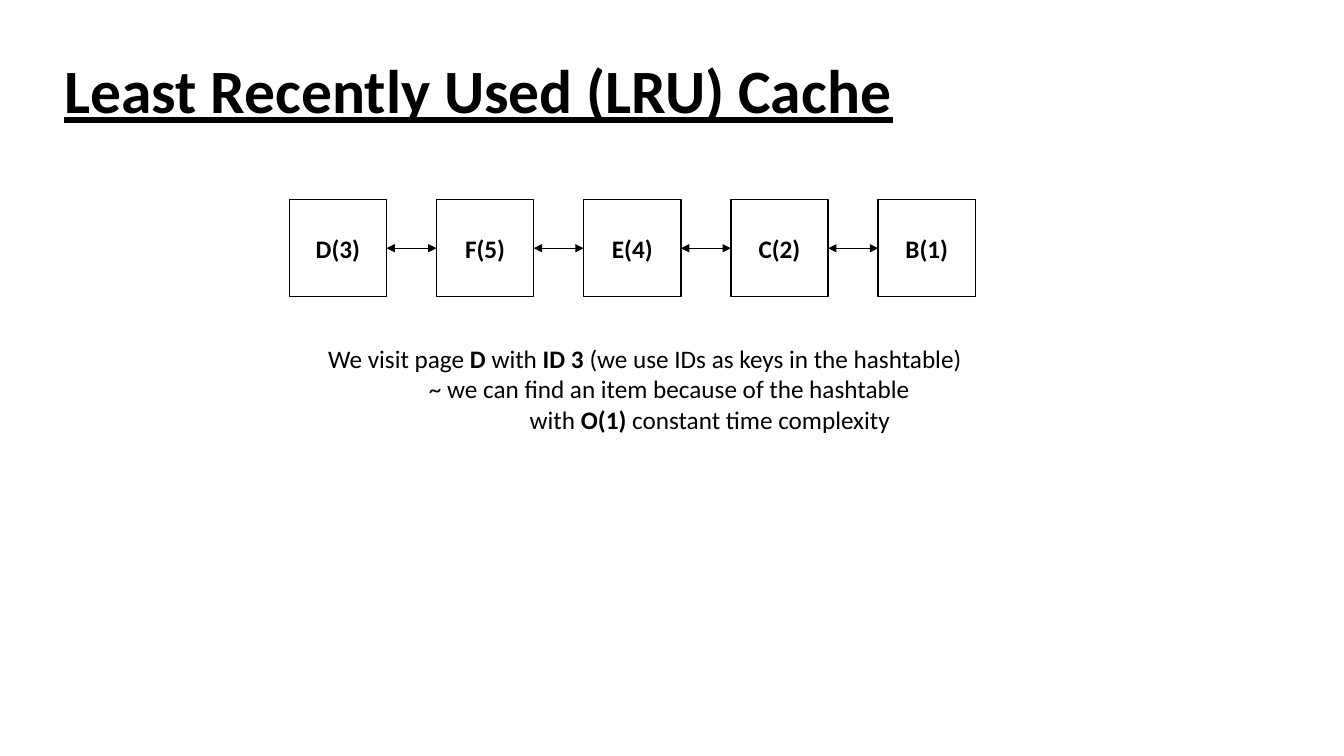
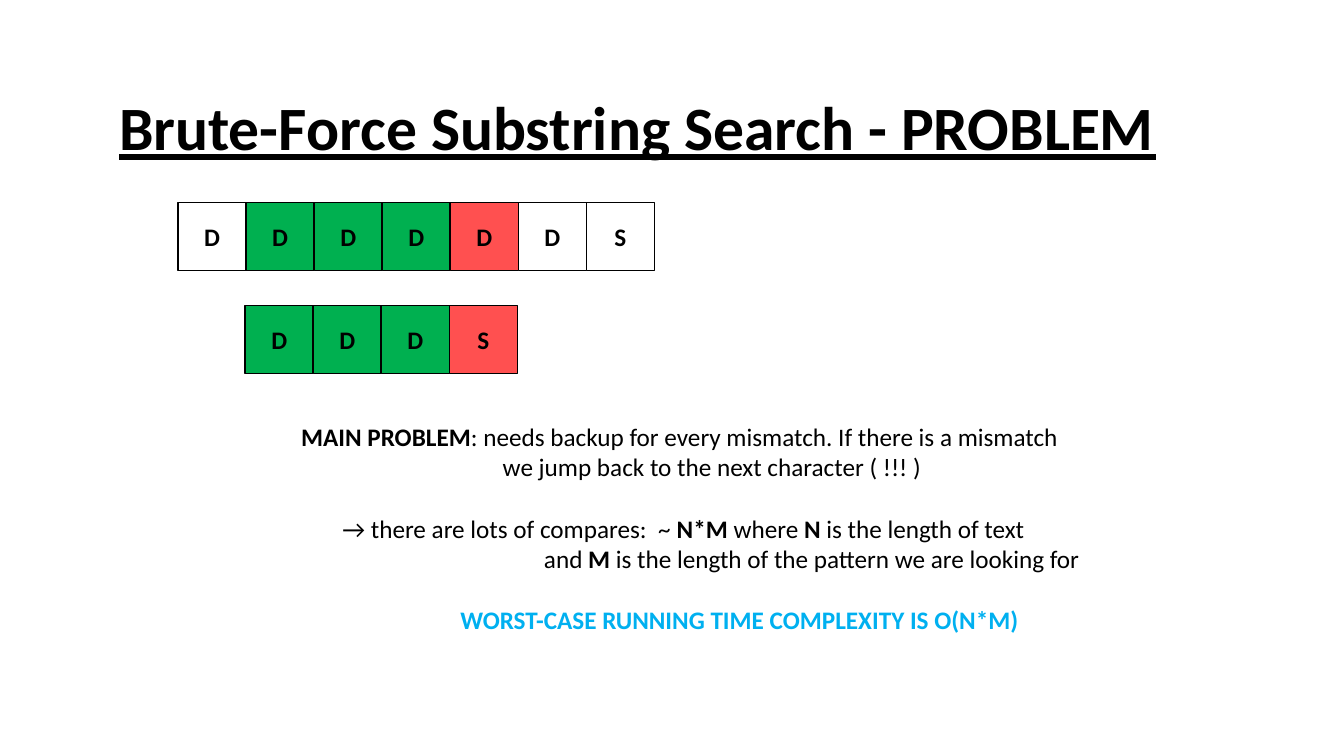
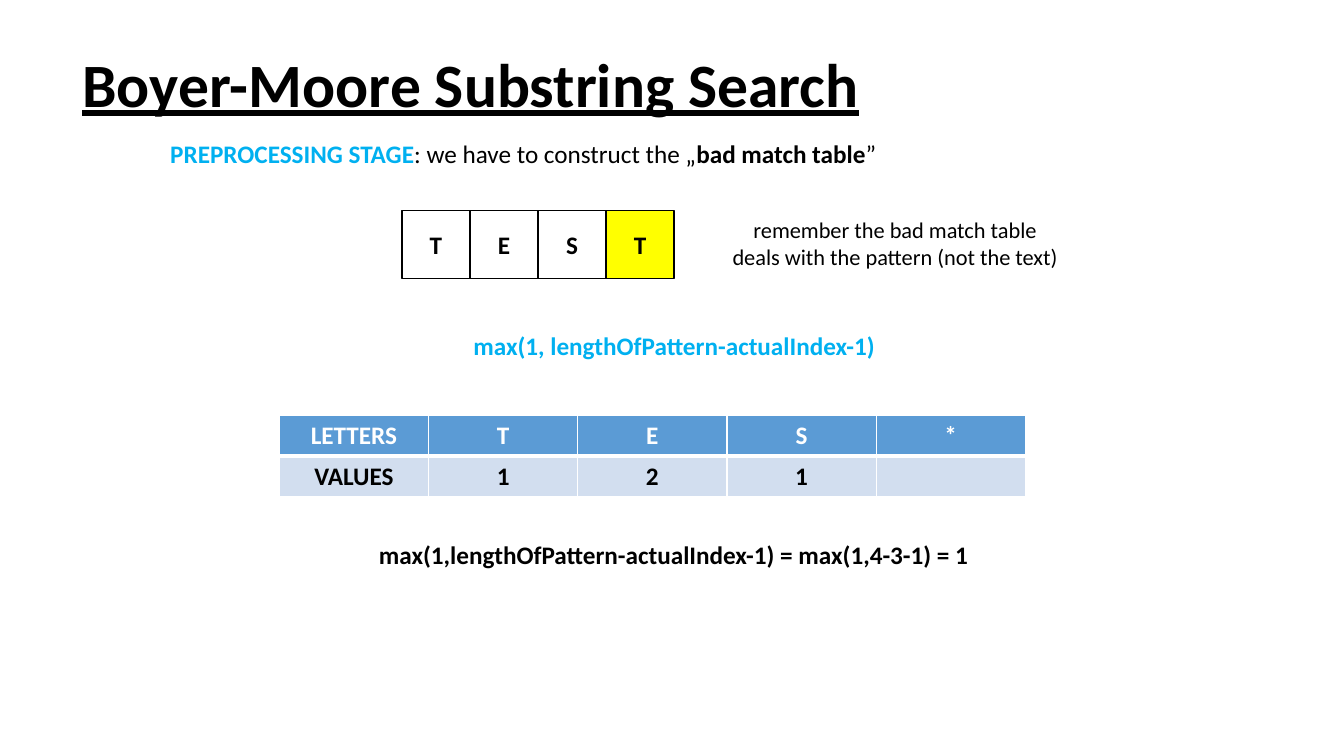
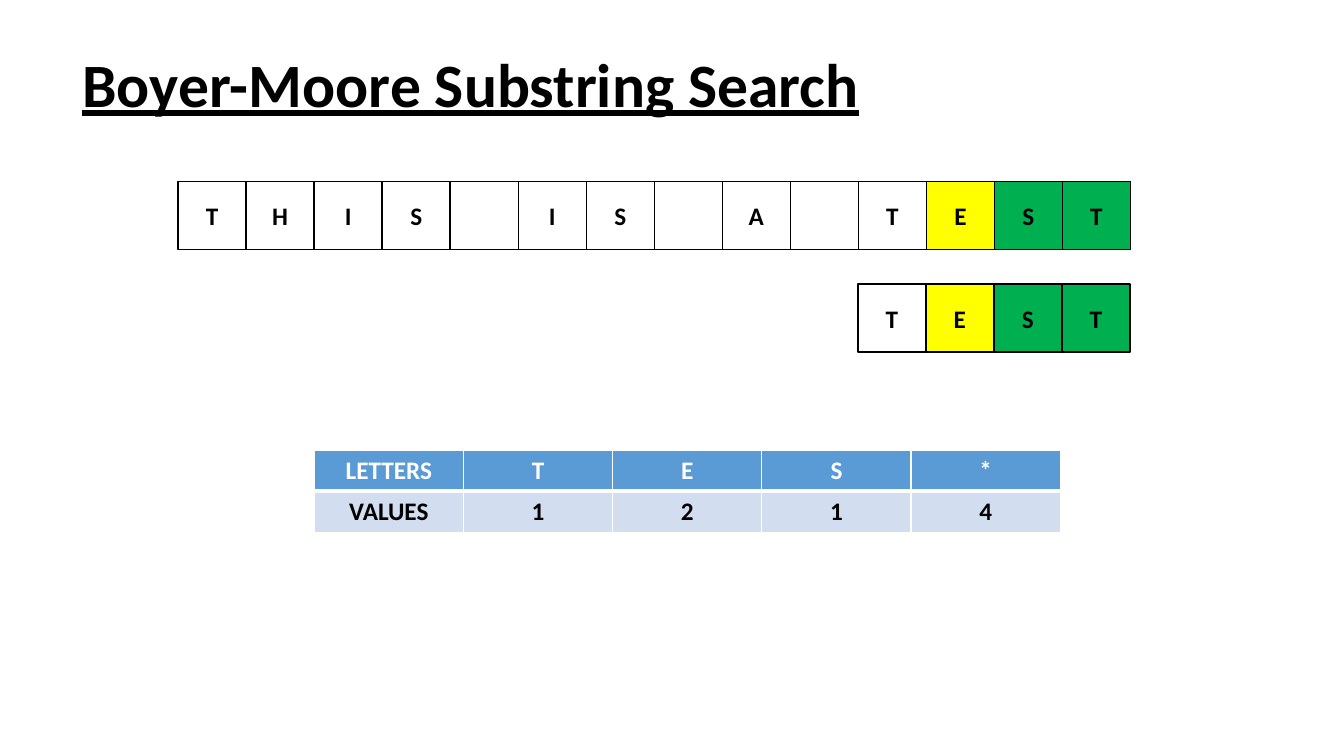
import collections

import lxml.etree
import pptx
import pptx.dml.color
import pptx.enum.shapes
import pptx.enum.text
import pptx.oxml.ns
import pptx.util
from pptx.util import Cm

BLACK = pptx.dml.color.RGBColor(0x00, 0x00, 0x00)
WHITE = pptx.dml.color.RGBColor(0xFF, 0xFF, 0xFF)
GREEN = pptx.dml.color.RGBColor(0x00, 0xB0, 0x50)
RED = pptx.dml.color.RGBColor(0xFF, 0x50, 0x50)
YELLOW = pptx.dml.color.RGBColor(0xFF, 0xFF, 0x00)
SKY = pptx.dml.color.RGBColor(0x00, 0xB0, 0xF0)
HEADER_BLUE = pptx.dml.color.RGBColor(0x5B, 0x9B, 0xD5)
PALE_BLUE = pptx.dml.color.RGBColor(0xD2, 0xDE, 0xEF)

FILLS = {"w": WHITE, "g": GREEN, "r": RED, "y": YELLOW}
FONT = "Calibri"
CELL = Cm(12) // 7
NODE = Cm(2.45)
NODE_PITCH = Cm(3.71)
TAB = Cm(2.54)
LEFT = pptx.enum.text.PP_ALIGN.LEFT
CENTER = pptx.enum.text.PP_ALIGN.CENTER
MIDDLE = pptx.enum.text.MSO_ANCHOR.MIDDLE

Run = collections.namedtuple("Run", "text bold color", defaults=(False, BLACK))
Line = collections.namedtuple("Line", "runs indent before", defaults=(0, 0))


def add_run(paragraph, text, size=18, bold=False, color=BLACK):
    run = paragraph.add_run()
    run.text = text
    run.font.name = FONT
    run.font.size = pptx.util.Pt(size)
    run.font.bold = bold
    run.font.color.rgb = color
    return run


def add_title(slide, text, left, top):
    shape = slide.shapes.add_textbox(left, top, Cm(29.21), Cm(3.68))
    frame = shape.text_frame
    frame.word_wrap = True
    frame.vertical_anchor = MIDDLE
    paragraph = frame.paragraphs[0]
    paragraph.line_spacing = 0.9
    add_run(paragraph, text, 44, True).font.underline = True


def add_text(slide, left, top, width, lines, size=18, alignment=LEFT):
    height = Cm(0.25) + Cm(0.78) * len(lines)
    frame = slide.shapes.add_textbox(left, top, width, height).text_frame
    frame.word_wrap = True
    for index, line in enumerate(lines):
        paragraph = frame.add_paragraph() if index else frame.paragraphs[0]
        paragraph.alignment = alignment
        paragraph.space_before = pptx.util.Pt(line.before)
        paragraph._p.get_or_add_pPr().set("marL", str(int(line.indent)))
        for run in line.runs:
            add_run(paragraph, run.text, size, run.bold, run.color)


def add_square(slide, text, left, top, side, fill):
    shape = slide.shapes.add_shape(
        pptx.enum.shapes.MSO_SHAPE.RECTANGLE, left, top, side, side)
    shape.shadow.inherit = False
    shape.fill.solid()
    shape.fill.fore_color.rgb = fill
    shape.line.color.rgb = BLACK
    shape.line.width = pptx.util.Pt(1)
    shape.text_frame.vertical_anchor = MIDDLE
    paragraph = shape.text_frame.paragraphs[0]
    paragraph.alignment = CENTER
    if text.strip():
        add_run(paragraph, text, bold=True)
    return shape


def add_letters(slide, letters, fills, left, top):
    for index, (letter, fill) in enumerate(zip(letters, fills)):
        add_square(slide, letter, left + index * CELL, top, CELL, FILLS[fill])


def add_double_arrow(slide, first, second):
    connector = slide.shapes.add_connector(
        pptx.enum.shapes.MSO_CONNECTOR.STRAIGHT, 0, 0, 0, 0)
    connector.begin_connect(first, 3)
    connector.end_connect(second, 1)
    connector.line.color.rgb = BLACK
    connector.line.width = pptx.util.Pt(0.5)
    line = connector.line._get_or_add_ln()
    for end in ("a:headEnd", "a:tailEnd"):
        lxml.etree.SubElement(line, pptx.oxml.ns.qn(end), type="triangle")
    lxml.etree.SubElement(
        connector._element.spPr, pptx.oxml.ns.qn("a:effectLst"))


def add_linked_list(slide, labels, left, top):
    nodes = [add_square(slide, label, left + index * NODE_PITCH, top, NODE, WHITE)
             for index, label in enumerate(labels)]
    for first, second in zip(nodes, nodes[1:]):
        add_double_arrow(slide, first, second)


def set_borders(cell, widths):
    properties = cell._tc.get_or_add_tcPr()
    for index, (side, width) in enumerate(widths.items()):
        border = lxml.etree.Element(
            pptx.oxml.ns.qn("a:ln" + side), w=str(int(pptx.util.Pt(width))))
        fill = lxml.etree.SubElement(border, pptx.oxml.ns.qn("a:solidFill"))
        lxml.etree.SubElement(
            fill, pptx.oxml.ns.qn("a:srgbClr"), val=str(WHITE))
        properties.insert(index, border)


def add_match_table(slide, values, left, top):
    rows = [(["LETTERS", "T", "E", "S", "*"], HEADER_BLUE, WHITE,
             {"L": 1, "R": 1, "T": 1, "B": 3}),
            (["VALUES"] + values, PALE_BLUE, BLACK,
             {"L": 1, "R": 1, "T": 3, "B": 1})]
    table = slide.shapes.add_table(
        2, 5, left, top, Cm(18.8), Cm(2.06)).table
    for row_index, (texts, fill, color, borders) in enumerate(rows):
        for column_index, text in enumerate(texts):
            cell = table.cell(row_index, column_index)
            cell.fill.solid()
            cell.fill.fore_color.rgb = fill
            set_borders(cell, borders)
            paragraph = cell.text_frame.paragraphs[0]
            paragraph.alignment = CENTER
            if text:
                add_run(paragraph, text, bold=True, color=color)


def add_blank_slide(presentation):
    return presentation.slides.add_slide(presentation.slide_layouts[6])


def build_cache_slide(presentation):
    slide = add_blank_slide(presentation)
    add_title(slide, "Least Recently Used (LRU) Cache", Cm(1.37), Cm(0.53))
    add_linked_list(slide, ["D(3)", "F(5)", "E(4)", "C(2)", "B(1)"],
                    Cm(7.29), Cm(5.03))
    add_text(slide, Cm(8.02), Cm(8.53), Cm(18), [
        Line([Run("We visit page "), Run("D", True), Run(" with "),
              Run("ID 3 ", True), Run("(we use IDs as keys in the hashtable)")]),
        Line([Run("~ we can find an item because of the hashtable")], TAB),
        Line([Run("with "), Run("O(1)", True),
              Run(" constant time complexity")], 2 * TAB)])


def build_brute_force_slide(presentation):
    slide = add_blank_slide(presentation)
    add_title(slide, "Brute-Force Substring Search - PROBLEM", Cm(2.75), Cm(1.45))
    add_letters(slide, "DDDDDDS", "wgggrww", Cm(4.49), Cm(5.11))
    add_letters(slide, "DDDS", "gggr", Cm(6.18), Cm(7.7))
    add_text(slide, Cm(7.34), Cm(10.49), Cm(22), [
        Line([Run("MAIN PROBLEM", True),
              Run(": needs backup for every mismatch. If there is a mismatch")]),
        Line([Run("we jump back to the next character ( !!! )")], 2 * TAB)])
    add_text(slide, Cm(8.38), Cm(12.8), Cm(22), [
        Line([Run("→ there are lots of compares:  ~ "), Run("N*M", True),
              Run(" where "), Run("N", True), Run(" is the length of text")]),
        Line([Run("and"), Run(" M", True),
              Run(" is the length of the pattern we are looking for")], 2 * TAB),
        Line([Run("WORST-CASE RUNNING TIME COMPLEXITY IS O(N*M)", True, SKY)],
             Cm(2.97), 22)])


def build_preprocessing_slide(presentation):
    slide = add_blank_slide(presentation)
    add_title(slide, "Boyer-Moore Substring Search", Cm(1.83), Cm(0.36))
    add_text(slide, Cm(4.04), Cm(3.35), Cm(20), [
        Line([Run("PREPROCESSING STAGE", True, SKY),
              Run(": we have to construct the „"),
              Run("bad match table", True), Run("”")])])
    add_letters(slide, "TEST", "wwwy", Cm(10.13), Cm(5.31))
    add_text(slide, Cm(11.68), Cm(8.2), Cm(12), [
        Line([Run("max(1, lengthOfPattern-actualIndex-1)", True, SKY)])])
    add_text(slide, Cm(18.14), Cm(5.33), Cm(8.84), [
        Line([Run("remember the bad match table")]),
        Line([Run("deals with the pattern (not the text)")])], 16, CENTER)
    add_match_table(slide, ["1", "2", "1", ""], Cm(7.04), Cm(10.46))
    add_text(slide, Cm(9.3), Cm(13.46), Cm(17), [
        Line([Run("max(1,lengthOfPattern-actualIndex-1) = max(1,4-3-1) = 1",
                  True)])])


def build_search_slide(presentation):
    slide = add_blank_slide(presentation)
    add_title(slide, "Boyer-Moore Substring Search", Cm(1.83), Cm(0.36))
    add_letters(slide, "THIS IS A TEST", "wwwwwwwwwwwygg", Cm(4.49), Cm(4.57))
    add_letters(slide, "TEST", "wygg", Cm(21.62), Cm(7.16))
    add_match_table(slide, ["1", "2", "1", "4"], Cm(7.92), Cm(11.35))


def main():
    presentation = pptx.Presentation()
    presentation.slide_width = Cm(33.87)
    presentation.slide_height = Cm(19.05)
    build_cache_slide(presentation)
    build_brute_force_slide(presentation)
    build_preprocessing_slide(presentation)
    build_search_slide(presentation)
    presentation.save("out.pptx")


if __name__ == "__main__":
    main()
